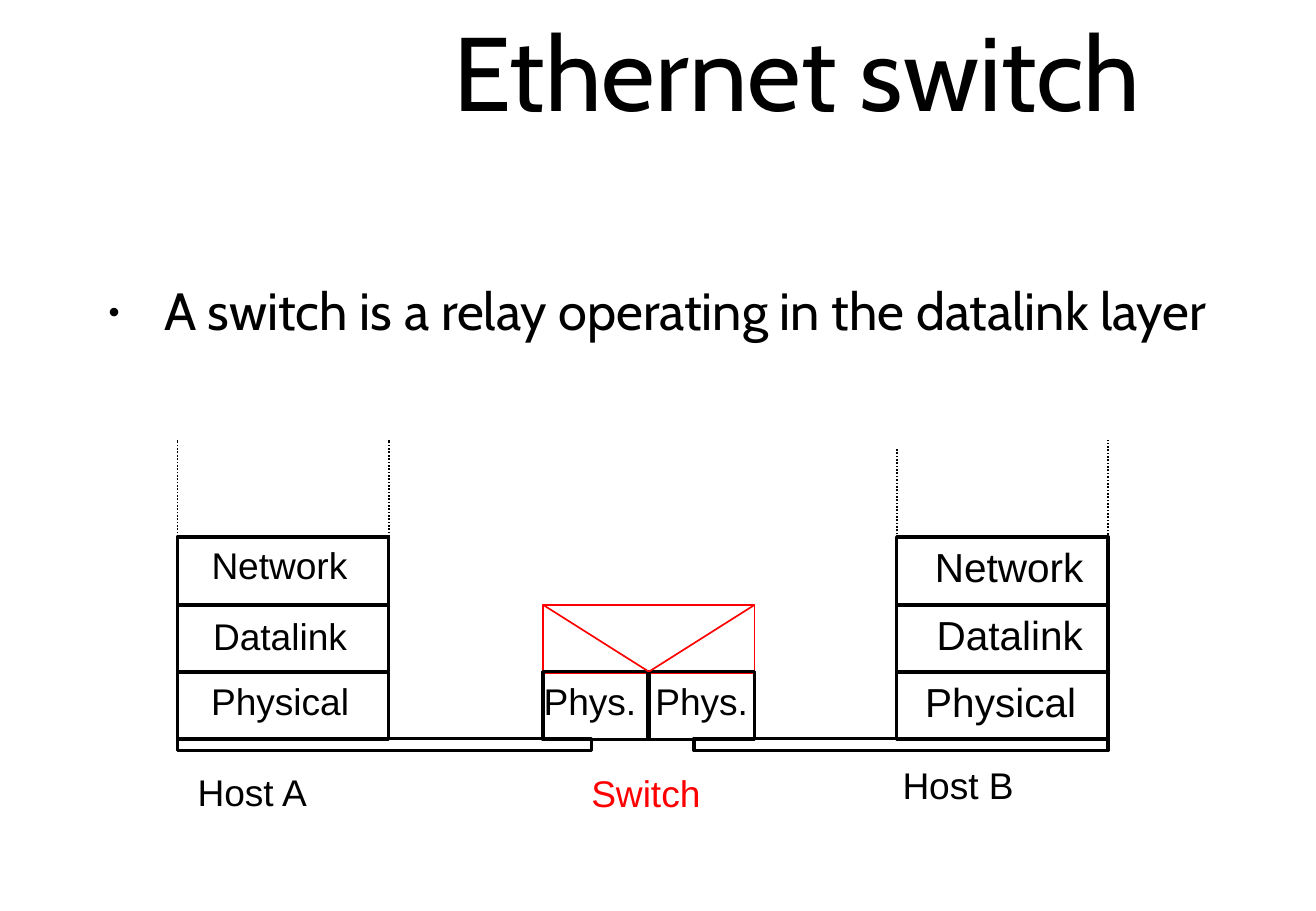
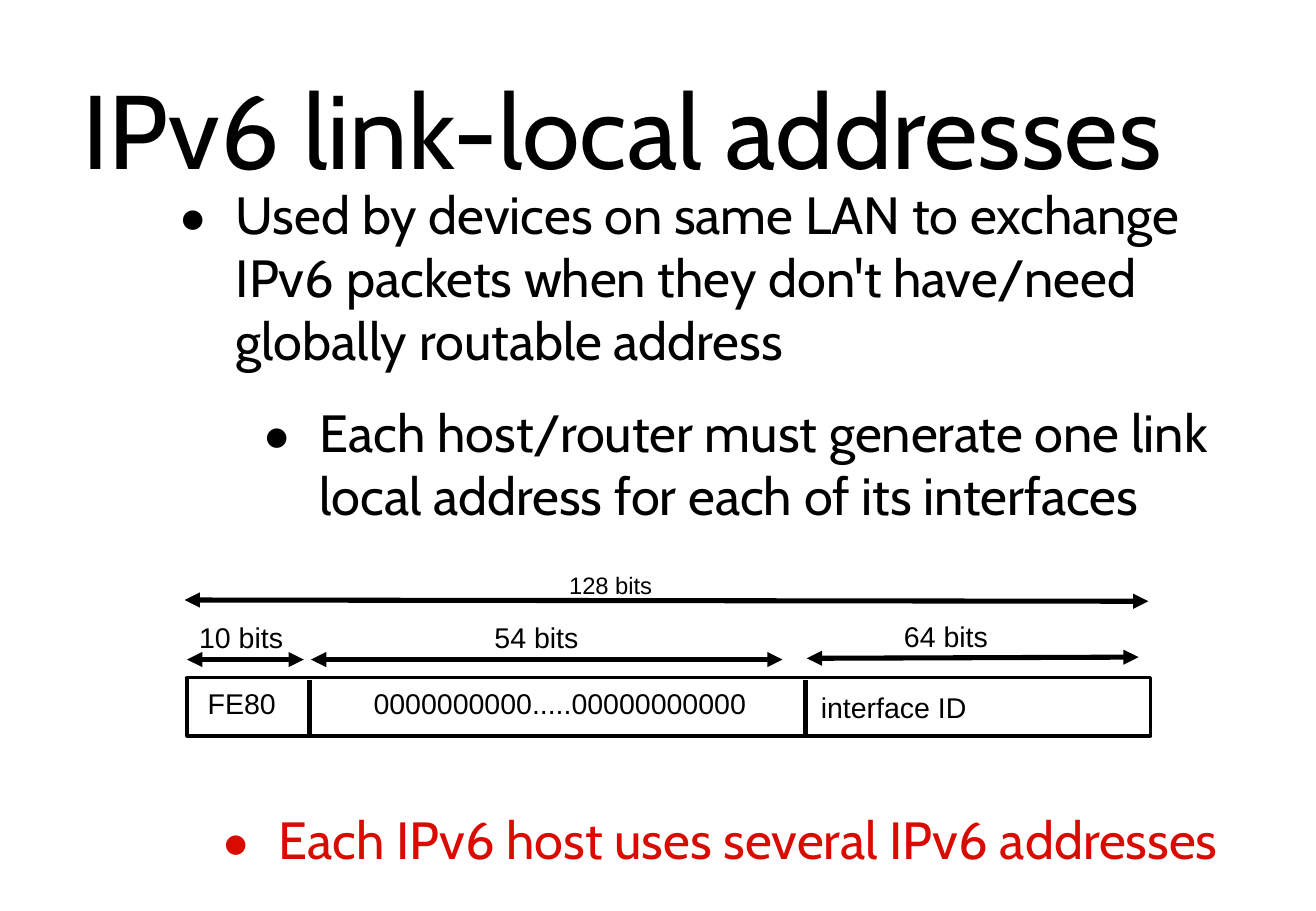
from lxml.etree import SubElement
from pptx import Presentation
from pptx.dml.color import RGBColor
from pptx.enum.dml import MSO_LINE
from pptx.enum.shapes import MSO_CONNECTOR, MSO_SHAPE
from pptx.enum.text import MSO_ANCHOR, MSO_AUTO_SIZE, PP_ALIGN
from pptx.oxml.ns import qn
from pptx.util import Inches, Pt

BLACK = RGBColor(0x00, 0x00, 0x00)
RED = RGBColor(0xFF, 0x00, 0x00)
DARK_RED = RGBColor(0xD9, 0x0B, 0x00)
TEXT_FONT = "Cabin"
LABEL_FONT = "Arial"
TITLE_SIZE = 62
BODY_SIZE = 31
BODY_GAP = 17.7
TIGHT = 0.84
LABEL_SLACK = 0.05


class Deck:
    """Holds the shared style and the slide being drawn."""

    def __init__(self):
        self.presentation = Presentation()
        self.presentation.slide_width = Inches(10.83)
        self.presentation.slide_height = Inches(7.5)
        self.slide = None

    def new_slide(self):
        self.slide = self.presentation.slides.add_slide(self.presentation.slide_layouts[6])

    def text_frame(self, left, top, width, height, inset, anchor, wrap):
        box = self.slide.shapes.add_textbox(
            Inches(left), Inches(top), Inches(width), Inches(height))
        frame = box.text_frame
        frame.word_wrap = wrap
        frame.vertical_anchor = anchor
        frame.margin_left = frame.margin_right = Inches(inset)
        frame.margin_top = frame.margin_bottom = Inches(inset)
        return frame

    def add_run(self, paragraph, text, font, size, color):
        run = paragraph.add_run()
        run.text = text
        run.font.name = font
        run.font.size = Pt(size)
        run.font.color.rgb = color

    def title(self, text, left, top, width, height, spacing=1.0):
        frame = self.text_frame(left, top, width, height, 0.04, MSO_ANCHOR.MIDDLE, True)
        paragraph = frame.paragraphs[0]
        paragraph.alignment = PP_ALIGN.CENTER
        paragraph.line_spacing = spacing
        self.add_run(paragraph, text, TEXT_FONT, TITLE_SIZE, BLACK)

    def body(self, left, top, width, height, anchor):
        return self.text_frame(left, top, width, height, 0.04, anchor, True)

    def bullet(self, frame, text, indent, bullet_percent, gap=0, spacing=1.0, color=BLACK):
        """Fill the empty first paragraph, or add one after the last."""
        paragraph = frame.paragraphs[0]
        if paragraph.runs:
            paragraph = frame.add_paragraph()
        paragraph.space_before = Pt(gap)
        paragraph.line_spacing = spacing
        properties = paragraph._p.get_or_add_pPr()
        properties.set("marL", str(Inches(indent)))
        properties.set("indent", str(-Inches(0.46)))
        SubElement(properties, qn("a:buSzPct")).set("val", str(bullet_percent * 1000))
        SubElement(properties, qn("a:buFont")).set("typeface", TEXT_FONT)
        SubElement(properties, qn("a:buChar")).set("char", "•")
        self.add_run(paragraph, text, TEXT_FONT, BODY_SIZE, color)

    def label(self, text, left, top, width, size, color=BLACK):
        """One unwrapped line of text, centred in a box slightly wider than it."""
        height = size * 0.0145
        frame = self.text_frame(left - LABEL_SLACK, top, width + 2 * LABEL_SLACK, height,
                                0, MSO_ANCHOR.MIDDLE, False)
        frame.auto_size = MSO_AUTO_SIZE.SHAPE_TO_FIT_TEXT
        paragraph = frame.paragraphs[0]
        paragraph.alignment = PP_ALIGN.CENTER
        paragraph.line_spacing = TIGHT
        self.add_run(paragraph, text, LABEL_FONT, size, color)

    def box(self, left, top, width, height, color=BLACK, weight=2):
        shape = self.slide.shapes.add_shape(
            MSO_SHAPE.RECTANGLE, Inches(left), Inches(top), Inches(width), Inches(height))
        shape.shadow.inherit = False
        shape.fill.background()
        shape.line.color.rgb = color
        shape.line.width = Pt(weight)
        return shape

    def line(self, start, end, color=BLACK, weight=3, dash=None, arrows=False):
        connector = self.slide.shapes.add_connector(
            MSO_CONNECTOR.STRAIGHT, *(Inches(value) for value in (*start, *end)))
        connector.line.color.rgb = color
        connector.line.width = Pt(weight)
        if dash:
            connector.line.dash_style = dash
        properties = connector.element.spPr
        if arrows:
            outline = properties.find(qn("a:ln"))
            for tag in ("a:headEnd", "a:tailEnd"):
                SubElement(outline, qn(tag)).set("type", "triangle")
        SubElement(properties, qn("a:effectLst"))
        return connector


def draw_switch_slide(deck):
    deck.new_slide()
    deck.title("Ethernet switch", 2.98, 0, 7.16, 1.32, TIGHT)
    body = deck.body(0.79, 0.89, 9.54, 3.4, MSO_ANCHOR.MIDDLE)
    deck.bullet(body, "A switch is a relay operating in the datalink layer",
                0.52, 75, spacing=TIGHT)

    host_a, switch, host_b = 1.46, 4.47, 7.38
    layer_tops = (4.42, 4.98, 5.53)
    width, height = 1.74, 0.56

    for cable_left in (host_a, 5.71):
        deck.box(cable_left, 6.08, 3.41, 0.1)
    for host in (host_a, host_b):
        for top in layer_tops:
            deck.box(host, top, width, height)
    for left, bottom, top in ((host_a, 4.42, 3.62), (host_a + width, 4.42, 3.62),
                              (host_b, 4.51, 3.7), (host_b + width, 4.43, 3.62)):
        deck.line((left, bottom), (left, top), weight=1, dash=MSO_LINE.ROUND_DOT)

    datalink_top, physical_top = layer_tops[1:]
    middle = switch + width / 2
    deck.box(switch, datalink_top, width, height, RED, 1)
    ports = deck.box(switch, physical_top, width, height)
    for corner in (switch, switch + width):
        diagonal = deck.line((corner, datalink_top), (middle, physical_top), RED, 1)
        diagonal.end_connect(ports, 0)
    divider = deck.line((middle, physical_top), (middle, physical_top + height))
    divider.begin_connect(ports, 0)
    divider.end_connect(ports, 2)

    for text, left, top, text_width, size in (
            ("Network", 1.73, 4.52, 1.14, 22),
            ("Datalink", 1.75, 5.1, 1.11, 22),
            ("Physical", 1.73, 5.64, 1.15, 22),
            ("Network", 7.69, 4.52, 1.23, 24),
            ("Datalink", 7.7, 5.08, 1.22, 24),
            ("Physical", 7.61, 5.63, 1.25, 24),
            ("Phys.", 4.47, 5.64, 0.77, 22),
            ("Phys.", 5.39, 5.64, 0.77, 22),
            ("Host A", 1.62, 6.39, 0.91, 22),
            ("Host B", 7.42, 6.33, 0.93, 22)):
        deck.label(text, left, top, text_width, size)
    deck.label("Switch", 4.86, 6.4, 0.91, 22, RED)


def draw_address_slide(deck):
    deck.new_slide()
    deck.title("IPv6 link-local addresses", 0.46, 0.05, 9.32, 2)
    body = deck.body(1.22, 1.46, 8.96, 5.7, MSO_ANCHOR.TOP)
    deck.bullet(body, "Used by devices on same LAN to exchange IPv6 packets when they "
                "don't have/need globally routable address", 0.68, 171)
    deck.bullet(body, "Each host/router must generate one link local address for each "
                "of its interfaces", 1.37, 171, BODY_GAP)
    diagram_gap = 149
    deck.bullet(body, "Each IPv6 host uses several IPv6 addresses", 1.03, 171,
                BODY_GAP + diagram_gap, color=DARK_RED)

    deck.box(1.54, 5.58, 7.93, 0.48)
    for field_edge in (2.55, 6.63):
        deck.line((field_edge, 5.6), (field_edge, 6.06))
    for start, end in (((1.52, 4.94), (9.45, 4.95)), ((1.54, 5.43), (2.5, 5.43)),
                       ((2.56, 5.43), (6.44, 5.43)), ((6.64, 5.42), (9.37, 5.41))):
        deck.line(start, end, arrows=True)
    for text, left, top, width, size in (
            ("128 bits", 4.68, 4.73, 0.69, 14.1),
            ("10 bits", 1.64, 5.15, 0.69, 16.9),
            ("54 bits", 4.07, 5.15, 0.69, 16.9),
            ("64 bits", 7.44, 5.14, 0.69, 16.9),
            ("FE80", 1.71, 5.69, 0.56, 16.9),
            ("0000000000.....00000000000", 3.08, 5.69, 3.06, 16.9),
            ("interface ID", 6.76, 5.72, 1.19, 16.9)):
        deck.label(text, left, top, width, size)


def main():
    deck = Deck()
    draw_switch_slide(deck)
    draw_address_slide(deck)
    deck.presentation.save("out.pptx")


if __name__ == "__main__":
    main()
